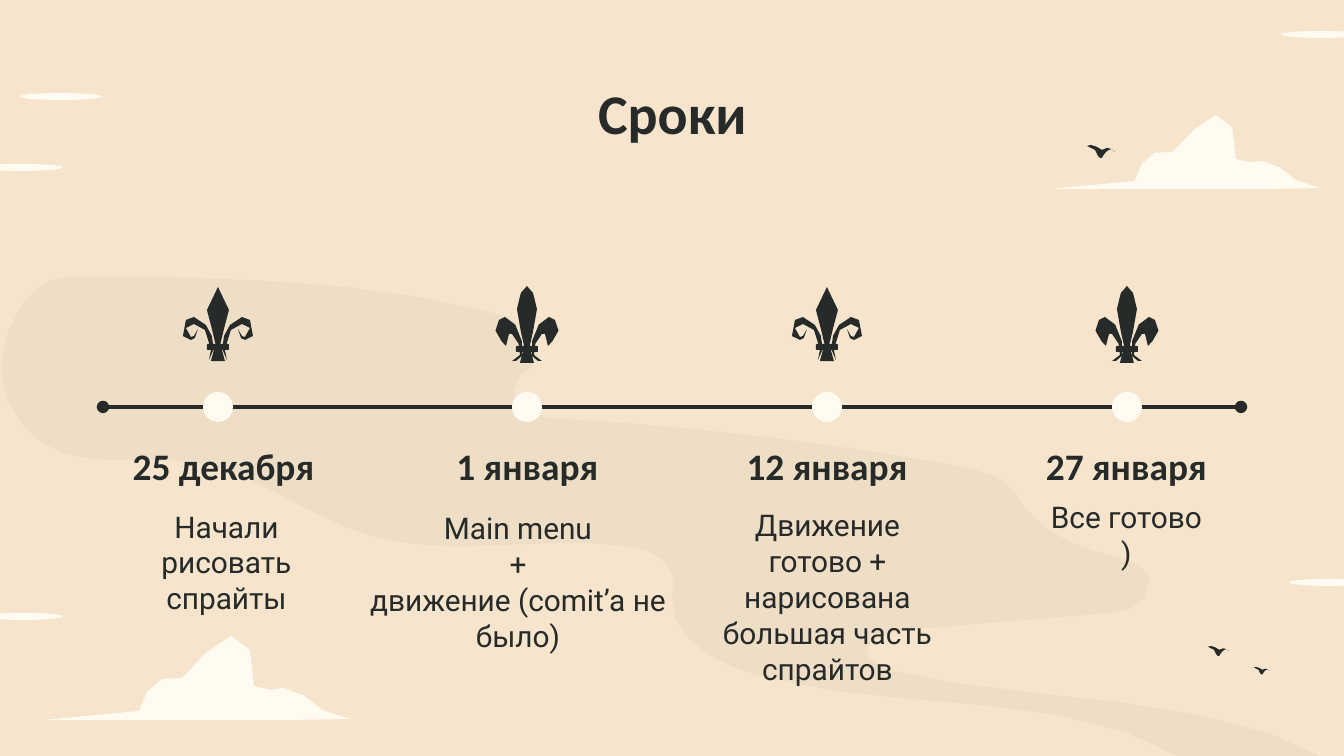
from math import dist

from lxml import etree
from pptx import Presentation
from pptx.dml.color import RGBColor
from pptx.enum.shapes import MSO_CONNECTOR, MSO_SHAPE
from pptx.enum.text import MSO_ANCHOR, PP_ALIGN
from pptx.oxml.ns import qn
from pptx.util import Pt

EMU_PER_PX = 914400 / 134.4
PX_PER_STEP = 16
MAX_STEPS = 6
ELLIPSE = MSO_SHAPE.OVAL
ROUNDED = MSO_SHAPE.ROUNDED_RECTANGLE
STRAIGHT = MSO_CONNECTOR.STRAIGHT
CENTER = PP_ALIGN.CENTER
TOP = MSO_ANCHOR.TOP
MIDDLE = MSO_ANCHOR.MIDDLE

COLORS = {"sand": "F6E5CC", "dune": "EEDEC5", "cream": "FFFBF0", "ink": "262A29"}
HEADING_FONT = "Calibri"
BODY_FONT = "Roboto"

DUNE = [
    (74, 277), (208, 277, 359, 278, 489, 312), (503, 316, 517, 320, 527, 329),
    (538, 339, 542, 355, 532, 366), (526, 374, 512, 376, 513, 391),
    (515, 399, 519, 406, 526, 410), (538, 418, 551, 419, 566, 419),
    (698, 427, 828, 442, 957, 466), (974, 469, 993, 473, 1007, 484),
    (1016, 495), (1032, 521, 1062, 542, 1094, 551),
    (1126, 560), (1136, 563, 1148, 567, 1150, 578),
    (1152, 586, 1149, 594, 1144, 599), (1132, 612, 1114, 613, 1098, 614),
    (903, 630), (886, 632, 862, 640, 867, 656),
    (868, 663, 875, 668, 883, 669), (1036, 707, 1211, 687, 1344, 768),
    (1191, 762), (1067, 687, 905, 714, 762, 677),
    (719, 665, 671, 640, 672, 598), (672, 590, 675, 581, 672, 573),
    (667, 556, 648, 550, 630, 547), (610, 544, 590, 543, 569, 543),
    (534, 543, 497, 546, 461, 546), (430, 546, 398, 544, 368, 535),
    (305, 516, 254, 470, 188, 461), (159, 460),
    (120, 460), (99, 460, 81, 458, 63, 453), (26, 439, 0, 403, 1, 366),
    (3, 329, 28, 277, 69, 277),
]
CLOUD = [
    (187, 0), (199, 7, 206, 15, 206, 15), (210, 50),
    (216, 52, 222, 54, 227, 54), (239, 52), (261, 60),
    (278, 74), (306, 83), (246, 84), (0, 84), (95, 75), (103, 56),
    (118, 43), (138, 42), (163, 16),
]
BIRD = [
    (4, 0), (10, 2), (15, 5), (20, 3), (24, 4), (28, 7), (24, 4), (22, 5),
    (19, 7), (16, 11), (15, 13), (13, 13), (11, 11), (8, 5), (0, 1),
]
PETAL = {
    "top": 286,
    "stem": [
        (0, 0), (-3, 0, -10, 11, -10, 23), (-10, 30, -7, 39, -6, 46),
        (-5, 50, 2, 70, -7, 77), (7, 77), (-2, 70, 5, 50, 6, 46),
        (7, 39, 10, 30, 10, 23), (10, 11, 3, 0, 0, 0),
    ],
    "wing": [
        (22, 31), (11, 31, 1, 59, 5, 70), (6, 74, 9, 75, 11, 75), (15, 75),
        (15, 75, 9, 74, 7, 69), (6, 63, 9, 52, 15, 48), (18, 48),
        (22, 48, 22, 56, 21, 60), (21, 60, 40, 43, 28, 34),
        (26, 32, 25, 31, 22, 31),
    ],
}
LANCE = {
    "top": 284,
    "stem": [
        (0, 3), (-11, 26), (-6, 45), (-4, 49, 2, 71, -7, 77),
        (7, 77), (-2, 71, 4, 49, 6, 45), (11, 26),
    ],
    "wing": [
        (24, 33), (20, 33, 15, 36, 12, 41), (5, 49, 0, 68, 9, 76),
        (9, 76, 2, 58, 13, 46), (17, 41, 21, 40, 24, 40),
        (28, 40, 31, 42, 32, 44), (32, 48, 31, 53, 27, 53),
        (24, 52), (19, 50, 20, 45, 20, 45),
        (17, 48, 19, 52, 23, 54), (27, 56),
        (29, 56, 33, 54, 35, 52), (39, 46, 37, 38, 32, 36),
        (29, 34, 27, 33, 24, 33),
    ],
}

WISPS = [(20, 93), (-19, 613), (-19, 164), (1281, 31), (1289, 579)]
CLOUDS = [(1051, 115, 0.88), (44, 636, 1)]
BIRDS = [(1087, 145, 1), (1254, 667, 0.57), (1208, 646, 0.76)]
MILESTONES = [
    (218, LANCE, "25 декабря", (105, 237),
     "Начали рисовать спрайты", (108, 509, 237, 106)),
    (527, PETAL, "1 января", (414, 227),
     "Main menu\v+\vдвижение (comit’a не было)", (317, 509, 402, 145)),
    (827, LANCE, "12 января", (723, 208),
     "Движение готово + нарисована большая часть спрайтов", (692, 509, 271, 175)),
    (1127, PETAL, "27 января", (1013, 227),
     "Все готово\n)", (1013, 491, 227, 87)),
]
AXIS_Y = 407
MARKER_SIZE = 30


def emu(px):
    return round(px * EMU_PER_PX)


def trace(segments):
    points = [segments[0]]
    for segment in segments[1:]:
        if len(segment) == 2:
            points.append(segment)
            continue
        controls = [points[-1], segment[:2], segment[2:4], segment[4:]]
        length = sum(map(dist, controls, controls[1:]))
        steps = max(1, min(MAX_STEPS, round(length / PX_PER_STEP)))
        for step in range(1, steps + 1):
            t = step / steps
            weights = ((1 - t) ** 3, 3 * t * (1 - t) ** 2, 3 * t * t * (1 - t), t ** 3)
            points.append(tuple(
                sum(weight * control[axis] for weight, control in zip(weights, controls))
                for axis in (0, 1)))
    return points


class SlideBuilder:
    def __init__(self, slide):
        self.slide = slide
        self.shapes = slide.shapes

    def color(self, name):
        return RGBColor.from_string(COLORS[name])

    def background(self, color):
        fill = self.slide.background.fill
        fill.solid()
        fill.fore_color.rgb = self.color(color)

    def paint(self, shape, color):
        shape.shadow.inherit = False
        shape.fill.solid()
        shape.fill.fore_color.rgb = self.color(color)
        shape.line.fill.background()

    def outline(self, segments, color, left=0, top=0, scale=1, flip=1):
        points = [(emu(left + x * scale * flip), emu(top + y * scale))
                  for x, y in trace(segments)]
        builder = self.shapes.build_freeform(*points[0], scale=1.0)
        builder.add_line_segments(points[1:], close=True)
        self.paint(builder.convert_to_shape(), color)

    def preset(self, kind, box, color):
        self.paint(self.shapes.add_shape(kind, *map(emu, box)), color)

    def icon(self, center, design):
        top = design["top"]
        for flip in (-1, 1):
            self.outline(design["wing"], "ink", center, top, flip=flip)
        self.outline(design["stem"], "ink", center, top)
        self.preset(ROUNDED, (center - 11, top + 60, 22, 6), "ink")

    def text(self, text, box, size, font, bold=False, anchor=MIDDLE):
        frame = self.shapes.add_textbox(*map(emu, box)).text_frame
        frame.word_wrap = True
        frame.vertical_anchor = anchor
        frame.margin_left = frame.margin_right = emu(13)
        frame.margin_top = frame.margin_bottom = emu(13)
        frame.text = text
        for paragraph in frame.paragraphs:
            paragraph.alignment = CENTER
            for run in paragraph.runs:
                run.font.size = Pt(size)
                run.font.name = font
                run.font.bold = bold
                run.font.color.rgb = self.color("ink")

    def axis(self, left, right, y):
        connector = self.shapes.add_connector(STRAIGHT, *map(emu, (left, y, right, y)))
        connector.line.color.rgb = self.color("ink")
        connector.line.width = Pt(2.25)
        properties = connector._element.spPr
        line = properties.find(qn("a:ln"))
        for end in ("a:headEnd", "a:tailEnd"):
            etree.SubElement(line, qn(end), type="oval")
        etree.SubElement(properties, qn("a:effectLst"))


def main():
    presentation = Presentation()
    presentation.slide_width = emu(1344)
    presentation.slide_height = emu(756)
    builder = SlideBuilder(presentation.slides.add_slide(presentation.slide_layouts[6]))

    builder.background("sand")
    builder.outline(DUNE, "dune")
    for left, top, scale in CLOUDS:
        builder.outline(CLOUD, "cream", left, top, scale)
    for left, top in WISPS:
        builder.preset(ELLIPSE, (left, top, 82, 7), "cream")
    for left, top, scale in BIRDS:
        builder.outline(BIRD, "ink", left, top, scale)

    builder.text("Сроки", (106, 66, 1133, 85), 30, HEADING_FONT, True, TOP)
    builder.axis(103, 1241, AXIS_Y)
    for center, design, date, (left, width), note, note_box in MILESTONES:
        builder.icon(center, design)
        marker = (center - MARKER_SIZE // 2, AXIS_Y - MARKER_SIZE // 2)
        builder.preset(ELLIPSE, (*marker, MARKER_SIZE, MARKER_SIZE), "cream")
        builder.text(date, (left, 438, width, 55), 20, HEADING_FONT, True)
        builder.text(note, note_box, 16, BODY_FONT)

    presentation.save("out.pptx")


if __name__ == "__main__":
    main()
